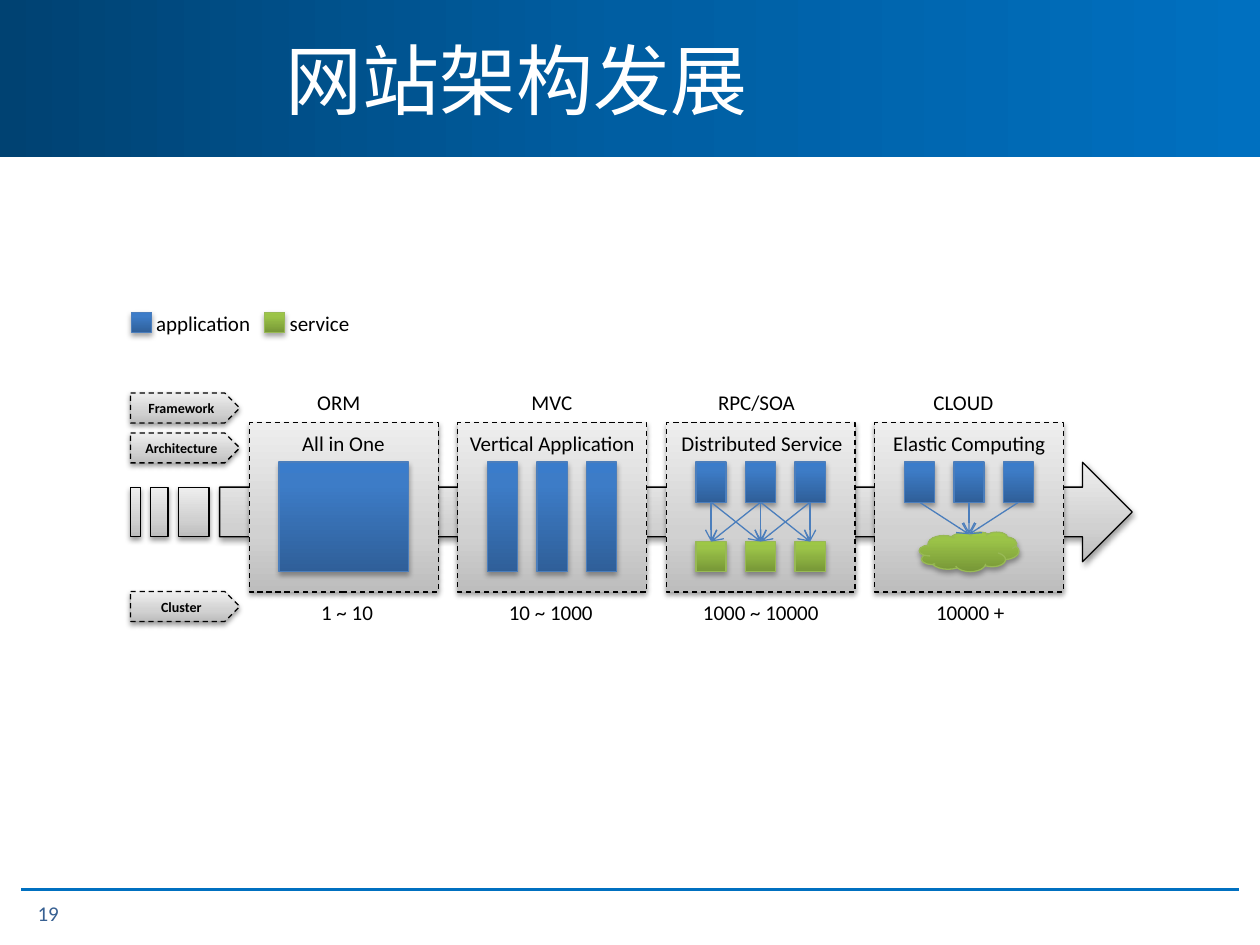
from dataclasses import dataclass

from lxml import etree
from pptx import Presentation
from pptx.dml.color import RGBColor
from pptx.enum.dml import MSO_LINE
from pptx.enum.shapes import MSO_CONNECTOR, MSO_SHAPE
from pptx.enum.text import MSO_ANCHOR, MSO_AUTO_SIZE, PP_ALIGN
from pptx.oxml.ns import qn
from pptx.shapes.autoshape import Shape
from pptx.shapes.connector import Connector
from pptx.text.text import TextFrame
from pptx.util import Pt

RECTANGLE = MSO_SHAPE.RECTANGLE
CLOUD = MSO_SHAPE.CLOUD
PENTAGON = MSO_SHAPE.PENTAGON
RIGHT_ARROW = MSO_SHAPE.RIGHT_ARROW
STRAIGHT = MSO_CONNECTOR.STRAIGHT
DASH = MSO_LINE.DASH
MIDDLE = MSO_ANCHOR.MIDDLE
LEFT, CENTER = PP_ALIGN.LEFT, PP_ALIGN.CENTER
FIT_TEXT, NO_FIT = MSO_AUTO_SIZE.SHAPE_TO_FIT_TEXT, MSO_AUTO_SIZE.NONE
BOTTOM_SIDE, TOP_SIDE = 2, 0

FONT = "Calibri"
COLOURS = {
    "black": "000000", "white": "FFFFFF", "rule": "0070C0", "number": "376092",
    "header_dark": "004272", "header_mid": "005EA2",
    "grey_dark": "BDBDBD", "grey_mid": "D1D1D1", "grey_light": "EEEEEE",
    "blue_dark": "2F5F99", "blue_mid": "3D7CC7", "blue_light": "3A7CCB", "blue_line": "4B7EBC",
    "green_dark": "779737", "green_mid": "9BC348", "green_light": "9DC746", "green_line": "98B955",
}

PANEL_LEFT, PANEL_STEP, PANEL_TOP = 142.5, 119.1, 241.6
PANEL_WIDTH, PANEL_HEIGHT = 108, 96.7
BAR_INSET, BAR_STEP, BAR_TOP, BAR_WIDTH = 17, 28.3, 264, 17.3
TALL, SHORT = 62.8, 23
SERVICE_TOP = 309.5
CLOUD_TOP, CLOUD_WIDTH, CLOUD_HEIGHT = 304, 57, 22.6
CLOUD_ARROW_END = 305.3


@dataclass(frozen=True)
class Style:
    stops: tuple[tuple[int, str], ...]
    line: str
    shadow_alpha: int
    shadow_distance: float


@dataclass(frozen=True)
class Box:
    left: float
    top: float
    width: float
    height: float


@dataclass(frozen=True)
class Caption:
    text: str
    left: float
    top: float
    width: float


HEADER_STOPS = ((0, "header_dark"), (50, "header_mid"), (100, "rule"))
GREY = Style(((0, "grey_dark"), (35, "grey_mid"), (100, "grey_light")), "black", 38, 1.6)
BLUE = Style(((0, "blue_dark"), (80, "blue_mid"), (100, "blue_light")), "blue_line", 35, 1.8)
GREEN = Style(((0, "green_dark"), (80, "green_mid"), (100, "green_light")), "green_line", 35, 1.8)

FRAMEWORK_TOP, NAME_TOP, CLUSTER_TOP, LEGEND_TOP = 219, 242.6, 339.2, 173.7
CAPTIONS = [
    Caption("ORM", 174.2, FRAMEWORK_TOP, 39.6),
    Caption("MVC", 296.6, FRAMEWORK_TOP, 38.2),
    Caption("RPC/SOA", 403.2, FRAMEWORK_TOP, 59),
    Caption("CLOUD", 526.3, FRAMEWORK_TOP, 49.7),
    Caption("All in One", 165.6, NAME_TOP, 61.9),
    Caption("Vertical Application", 261.4, NAME_TOP, 110.2),
    Caption("Distributed Service", 382.3, NAME_TOP, 107.3),
    Caption("Elastic Computing", 503.3, NAME_TOP, 102.2),
    Caption("1 ~ 10", 176.4, CLUSTER_TOP, 44.6),
    Caption("10 ~ 1000", 283.7, CLUSTER_TOP, 63.4),
    Caption("1000 ~ 10000", 394.6, CLUSTER_TOP, 82.1),
    Caption("10000 +", 527.8, CLUSTER_TOP, 54),
    Caption("application", 82.1, LEGEND_TOP, 69.1),
    Caption("service", 158.4, LEGEND_TOP, 49),
]
ROW_LABELS = [("Framework", 224.6), ("Architecture", 247.4), ("Cluster", 338)]
TRAIL_BLOCKS = [(74.6, 5.8), (86, 10), (102.2, 17.3)]
LEGEND_KEYS = [(75.2, BLUE), (151.2, GREEN)]


def rgb(name: str) -> RGBColor:
    return RGBColor.from_string(COLOURS[name])


def fill_gradient(shape: Shape, stops: tuple[tuple[int, str], ...], angle: int) -> None:
    shape.fill.gradient()
    shape.fill.gradient_angle = angle
    stop_list = shape._element.spPr.find(qn("a:gradFill")).find(qn("a:gsLst"))
    for stop in list(stop_list):
        stop_list.remove(stop)
    for position, name in stops:
        stop = etree.SubElement(stop_list, qn("a:gs"), pos=str(position * 1000))
        etree.SubElement(stop, qn("a:srgbClr"), val=COLOURS[name])


def add_shadow(shape: Shape, style: Style) -> None:
    shape.shadow.inherit = False
    effects = shape._element.spPr.find(qn("a:effectLst"))
    shadow = etree.SubElement(effects, qn("a:outerShdw"), blurRad=str(Pt(3.1)),
                              dist=str(Pt(style.shadow_distance)), dir="5400000", rotWithShape="0")
    colour = etree.SubElement(shadow, qn("a:srgbClr"), val=COLOURS["black"])
    etree.SubElement(colour, qn("a:alpha"), val=str(style.shadow_alpha * 1000))


def draw_shape(page, kind: MSO_SHAPE, box: Box, style: Style, dashed: bool = False) -> Shape:
    shape = page.shapes.add_shape(kind, Pt(box.left), Pt(box.top), Pt(box.width), Pt(box.height))
    fill_gradient(shape, style.stops, 90)
    shape.line.color.rgb = rgb(style.line)
    shape.line.width = Pt(0.75)
    if dashed:
        shape.line.dash_style = DASH
    add_shadow(shape, style)
    return shape


def draw_line(page, start: tuple[float, float], end: tuple[float, float],
              colour: str, width: float) -> Connector:
    line = page.shapes.add_connector(STRAIGHT, Pt(start[0]), Pt(start[1]), Pt(end[0]), Pt(end[1]))
    line.line.color.rgb = rgb(colour)
    line.line.width = Pt(width)
    etree.SubElement(line._element.spPr, qn("a:effectLst"))
    return line


def draw_arrow(page, start: tuple[float, float], end: tuple[float, float]) -> Connector:
    arrow = draw_line(page, start, end, "blue_line", 0.75)
    etree.SubElement(arrow._element.spPr.find(qn("a:ln")), qn("a:tailEnd"), type="arrow")
    return arrow


def write(frame: TextFrame, text: str, size: float, colour: str,
          align: PP_ALIGN = LEFT, bold: bool = False) -> None:
    frame.text = text
    para = frame.paragraphs[0]
    para.alignment = align
    para.font.name = FONT
    para.font.size = Pt(size)
    para.font.bold = bold
    para.font.color.rgb = rgb(colour)


def draw_caption(page, caption: Caption) -> None:
    box = page.shapes.add_textbox(Pt(caption.left), Pt(caption.top), Pt(caption.width), Pt(21.6))
    box.text_frame.word_wrap = False
    box.text_frame.auto_size = FIT_TEXT
    write(box.text_frame, caption.text, 12, "black")


def draw_row(page, panel_left: float, top: float, height: float, style: Style) -> list[Shape]:
    """Draw the three evenly spaced blocks of one panel."""
    return [draw_shape(page, RECTANGLE,
                       Box(panel_left + BAR_INSET + i * BAR_STEP, top, BAR_WIDTH, height), style)
            for i in range(3)]


def draw_frame(page) -> None:
    """Draw the header band with its title, the footer rule and the page number."""
    header = page.shapes.add_shape(RECTANGLE, 0, 0, Pt(720), Pt(90))
    fill_gradient(header, HEADER_STOPS, 0)
    header.line.fill.background()
    header.shadow.inherit = False
    draw_line(page, (12.2, 508.3), (707.8, 508.3), "rule", 2.25)

    title = page.shapes.title
    header._element.addnext(title._element)
    title.left, title.top, title.width, title.height = Pt(156.2), 0, Pt(563.8), Pt(90)
    title.text_frame.vertical_anchor = MIDDLE
    title.text_frame.auto_size = NO_FIT
    write(title.text_frame, "网站架构发展", 44, "white")

    number = page.shapes.add_textbox(Pt(14.4), Pt(507.6), Pt(79.2), Pt(28.8))
    number.text_frame.word_wrap = True
    number.text_frame.vertical_anchor = MIDDLE
    write(number.text_frame, "19", 12, "number")


def draw_panels(page) -> None:
    lefts = [PANEL_LEFT + i * PANEL_STEP for i in range(4)]
    for left in lefts:
        draw_shape(page, RECTANGLE, Box(left, PANEL_TOP, PANEL_WIDTH, PANEL_HEIGHT), GREY, True)
    single, vertical, distributed, elastic = lefts

    block_width = 2 * BAR_STEP + BAR_WIDTH
    draw_shape(page, RECTANGLE, Box(single + BAR_INSET, BAR_TOP, block_width, TALL), BLUE)
    draw_row(page, vertical, BAR_TOP, TALL, BLUE)

    applications = draw_row(page, distributed, BAR_TOP, SHORT, BLUE)
    services = draw_row(page, distributed, SERVICE_TOP, BAR_WIDTH, GREEN)
    for i, application in enumerate(applications):
        for service in services[max(i - 1, 0):i + 2]:
            arrow = draw_arrow(page, (0, 0), (0, 0))
            arrow.begin_connect(application, BOTTOM_SIDE)
            arrow.end_connect(service, TOP_SIDE)

    applications = draw_row(page, elastic, BAR_TOP, SHORT, BLUE)
    middle = elastic + BAR_INSET + block_width / 2
    draw_shape(page, CLOUD,
               Box(middle - CLOUD_WIDTH / 2, CLOUD_TOP, CLOUD_WIDTH, CLOUD_HEIGHT), GREEN)
    for application in applications:
        arrow = draw_arrow(page, (0, 0), (middle, CLOUD_ARROW_END))
        arrow.begin_connect(application, BOTTOM_SIDE)


def main() -> None:
    deck = Presentation()
    deck.slide_width, deck.slide_height = Pt(720), Pt(540)
    page = deck.slides.add_slide(deck.slide_layouts[5])
    draw_frame(page)
    draw_shape(page, RIGHT_ARROW, Box(125.5, 264.2, 521.5, 56.8), GREY)
    draw_panels(page)
    for left, style in LEGEND_KEYS:
        draw_shape(page, RECTANGLE, Box(left, 178.5, 11.5, 11.5), style)
    for caption in CAPTIONS:
        draw_caption(page, caption)
    for text, top in ROW_LABELS:
        label = draw_shape(page, PENTAGON, Box(74.6, top, 62.4, 17.1), GREY, True)
        label.text_frame.vertical_anchor = MIDDLE
        write(label.text_frame, text, 8, "black", CENTER, True)
    for left, width in TRAIL_BLOCKS:
        draw_shape(page, RECTANGLE, Box(left, 278.5, width, 28.3), GREY)
    deck.save("out.pptx")


if __name__ == "__main__":
    main()
